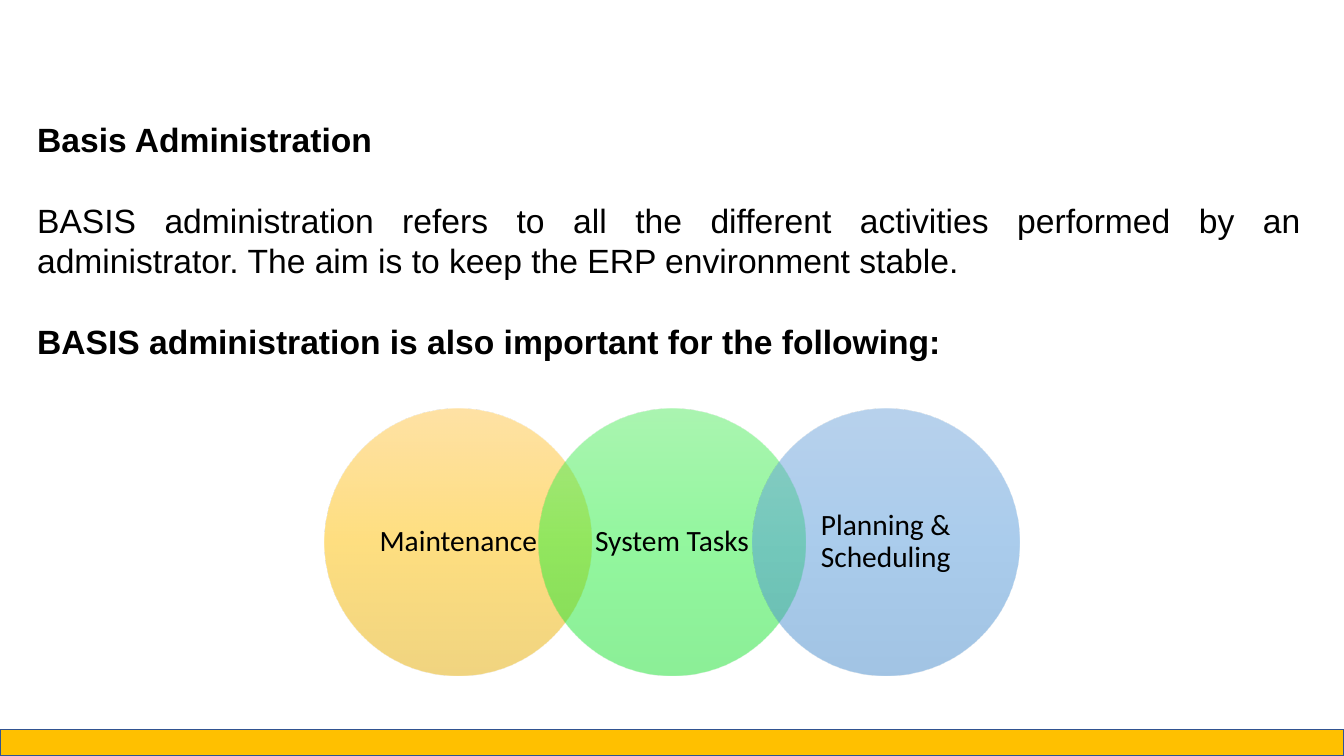
import pptx
import pptx.dml.color
import pptx.enum.shapes
import pptx.enum.text
import pptx.oxml
import pptx.oxml.ns
import pptx.util

Inches = pptx.util.Inches
Pt = pptx.util.Pt
Shapes = pptx.enum.shapes.MSO_SHAPE
Align = pptx.enum.text.PP_ALIGN
Anchor = pptx.enum.text.MSO_ANCHOR


def color(hex_code):
    return pptx.dml.color.RGBColor.from_string(hex_code)


def apply(target, values):
    for name, value in values.items():
        setattr(target, name, value)


class SlideBuilder:
    heading = {"name": "Arial", "size": Pt(24), "bold": True}
    body = {"name": "Arial", "size": Pt(24), "bold": False}
    label = {"name": "Calibri", "size": Pt(21)}
    ink = "000000"

    def __init__(self, slide):
        self.slide = slide

    def fill_paragraph(self, paragraph, text, font, layout):
        run = paragraph.add_run()
        run.text = text
        apply(run.font, font)
        run.font.color.rgb = color(self.ink)
        apply(paragraph, layout)

    def shape(self, kind, left, top, width, height):
        shape = self.slide.shapes.add_shape(
            kind, Inches(left), Inches(top), Inches(width), Inches(height))
        shape.shadow.inherit = False
        return shape

    def bar(self, left, top, width, height, fill, line):
        bar = self.shape(Shapes.RECTANGLE, left, top, width, height)
        bar.fill.solid()
        bar.fill.fore_color.rgb = color(fill)
        bar.line.color.rgb = color(line)
        bar.line.width = Pt(1)

    def text(self, left, top, width, height, paragraphs):
        box = self.slide.shapes.add_textbox(
            Inches(left), Inches(top), Inches(width), Inches(height))
        frame = box.text_frame
        frame.word_wrap = True
        for index, (text, font, layout) in enumerate(paragraphs):
            paragraph = frame.add_paragraph() if index else frame.paragraphs[0]
            self.fill_paragraph(paragraph, text, font, layout)

    def circle(self, left, top, size, text, shades):
        circle = self.shape(Shapes.OVAL, left, top, size, size)
        stops = "".join(
            f'<a:gs pos="{index * 50000}"><a:srgbClr val="{shade}">'
            '<a:alpha val="50000"/></a:srgbClr></a:gs>'
            for index, shade in enumerate(shades))
        gradient = pptx.oxml.parse_xml(
            f'<a:gradFill {pptx.oxml.ns.nsdecls("a")} rotWithShape="1">'
            f'<a:gsLst>{stops}</a:gsLst><a:lin ang="5400000" scaled="0"/></a:gradFill>')
        circle.element.spPr.find(pptx.oxml.ns.qn("a:prstGeom")).addnext(gradient)
        circle.line.fill.background()
        apply(circle.text_frame, {
            "word_wrap": True, "vertical_anchor": Anchor.MIDDLE,
            "margin_left": Inches(0.15), "margin_right": Inches(0.15),
            "margin_top": Inches(0.03), "margin_bottom": Inches(0.03)})
        self.fill_paragraph(circle.text_frame.paragraphs[0], text, self.label,
                            {"alignment": Align.CENTER, "line_spacing": 0.9})


def main():
    presentation = pptx.Presentation()
    apply(presentation, {"slide_width": Inches(13.33), "slide_height": Inches(7.5)})
    builder = SlideBuilder(presentation.slides.add_slide(presentation.slide_layouts[6]))

    builder.bar(0, 7.24, 13.33, 0.26, "FFC000", "325491")
    section_gap = Pt(28.8)
    builder.text(0.27, 1.13, 12.73, 2.93, [
        ("Basis Administration", builder.heading, {}),
        ("BASIS administration refers to all the different activities performed by an "
         "administrator. The aim is to keep the ERP environment stable.",
         builder.body, {"alignment": Align.JUSTIFY, "space_before": section_gap}),
        ("BASIS administration is also important for the following:",
         builder.heading, {"space_before": section_gap}),
    ])

    purposes = [
        ("Maintenance", ("FFC64B", "FFC000", "E3AB00")),
        ("System Tasks", ("56EC62", "27F13E", "18E02F")),
        ("Planning & Scheduling", ("71A6DB", "559BDB", "448ACA")),
    ]
    diameter = 2.65
    step = diameter * 0.8
    for index, (purpose, shades) in enumerate(purposes):
        builder.circle(3.22 + index * step, 4.05, diameter, purpose, shades)

    presentation.save("out.pptx")


if __name__ == "__main__":
    main()
